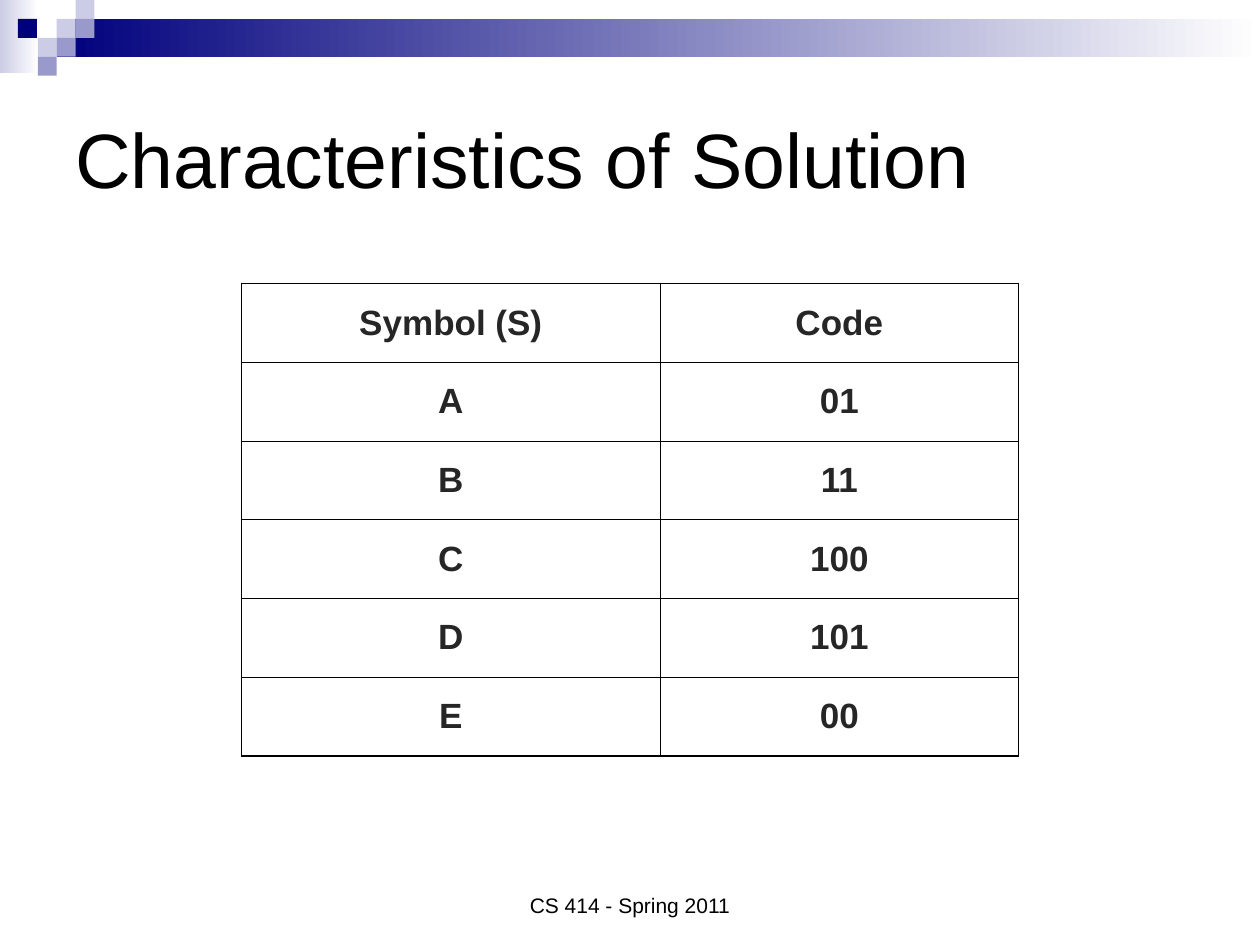
from lxml import etree
from pptx import Presentation
from pptx.dml.color import RGBColor
from pptx.enum.shapes import MSO_SHAPE
from pptx.enum.text import MSO_ANCHOR, PP_ALIGN
from pptx.oxml.ns import qn
from pptx.util import Pt

RECTANGLE = MSO_SHAPE.RECTANGLE
LEFT, CENTER = PP_ALIGN.LEFT, PP_ALIGN.CENTER
MIDDLE, BOTTOM = MSO_ANCHOR.MIDDLE, MSO_ANCHOR.BOTTOM

COLORS = {
    "navy": "00007D",
    "medium": "9999CC",
    "pale": "CCCCE6",
    "white": "FFFFFF",
    "black": "000000",
    "cell text": "262626",
}


def color(name):
    return RGBColor.from_string(COLORS[name])


def write(frame, text, size=12, bold=False, ink="black", align=CENTER, before=0):
    para = frame.paragraphs[0]
    para.alignment = align
    para.space_before = Pt(before)
    span = para.add_run()
    span.text = text
    span.font.name = "Arial"
    span.font.size = Pt(size)
    span.font.bold = bold
    span.font.color.rgb = color(ink)


class SlideBuilder:
    def __init__(self, page):
        self.page = page

    def rectangle(self, left, top, width, height, *fills):
        """One fill name gives a solid, two give a left-to-right gradient."""
        shape = self.page.shapes.add_shape(
            RECTANGLE, Pt(left), Pt(top), Pt(width), Pt(height))
        shape.shadow.inherit = False
        shape.line.fill.background()
        if len(fills) == 1:
            shape.fill.solid()
            shape.fill.fore_color.rgb = color(fills[0])
        else:
            shape.fill.gradient()
            shape.fill.gradient_angle = 0
            for stop, name in zip(shape.fill.gradient_stops, fills):
                stop.color.rgb = color(name)

    def text(self, left, top, width, height, text, anchor=MIDDLE, **style):
        box = self.page.shapes.add_textbox(
            Pt(left), Pt(top), Pt(width), Pt(height))
        box.text_frame.word_wrap = True
        box.text_frame.vertical_anchor = anchor
        write(box.text_frame, text, **style)

    def border(self, cell, side, width):
        line = etree.SubElement(cell._tc.get_or_add_tcPr(), qn(f"a:ln{side}"),
                                w=str(int(Pt(width))))
        solid = etree.SubElement(line, qn("a:solidFill"))
        etree.SubElement(solid, qn("a:srgbClr"), val=COLORS["black"])

    def table(self, left, top, widths, row_height, rows, inner, outer, **style):
        last_row, last_column = len(rows) - 1, len(widths) - 1
        table = self.page.shapes.add_table(
            len(rows), len(widths), Pt(left), Pt(top),
            Pt(sum(widths)), Pt(row_height * len(rows))).table
        table.first_row = table.horz_banding = False
        for column, width in zip(table.columns, widths):
            column.width = Pt(width)
        for r, values in enumerate(rows):
            table.rows[r].height = Pt(row_height)
            for c, value in enumerate(values):
                cell = table.cell(r, c)
                cell.vertical_anchor = MIDDLE
                edges = {"L": c == 0, "R": c == last_column,
                         "T": r == 0, "B": r == last_row}
                for side, is_outer in edges.items():
                    self.border(cell, side, outer if is_outer else inner)
                cell.fill.background()
                write(cell.text_frame, value, **style)


deck = Presentation()
deck.slide_width, deck.slide_height = Pt(720), Pt(540)
slide = SlideBuilder(deck.slides.add_slide(deck.slide_layouts[6]))

# Header bands
TILE = 10.8
slide.rectangle(0, 0, 22, 42, "pale", "white")
slide.rectangle(3 * TILE, TILE, 720 - 3 * TILE, 2 * TILE, "navy", "white")

# Header tiles, as column and row on a square grid
TILES = [
    (3, 1, "pale"), (4, 0, "pale"), (4, 1, "medium"), (2, 2, "pale"),
    (0.95, 1, "navy"), (3, 2, "medium"), (2, 3, "medium"),
]
for column, row, fill in TILES:
    slide.rectangle(column * TILE, row * TILE, TILE, TILE, fill)

# Title
slide.text(36, 36, 648, 108, "Characteristics of Solution", size=44, align=LEFT)

# Code table
CODES = [("Symbol (S)", "Code"), ("A", "01"), ("B", "11"),
         ("C", "100"), ("D", "101"), ("E", "00")]
slide.table(138, 162, [239.25, 204.75], 45, CODES, inner=0.45, outer=1.08,
            size=20, bold=True, ink="cell text", before=5)

# Footer
slide.text(246, 492, 228, 36, "CS 414 - Spring 2011", anchor=BOTTOM)

deck.save("out.pptx")
